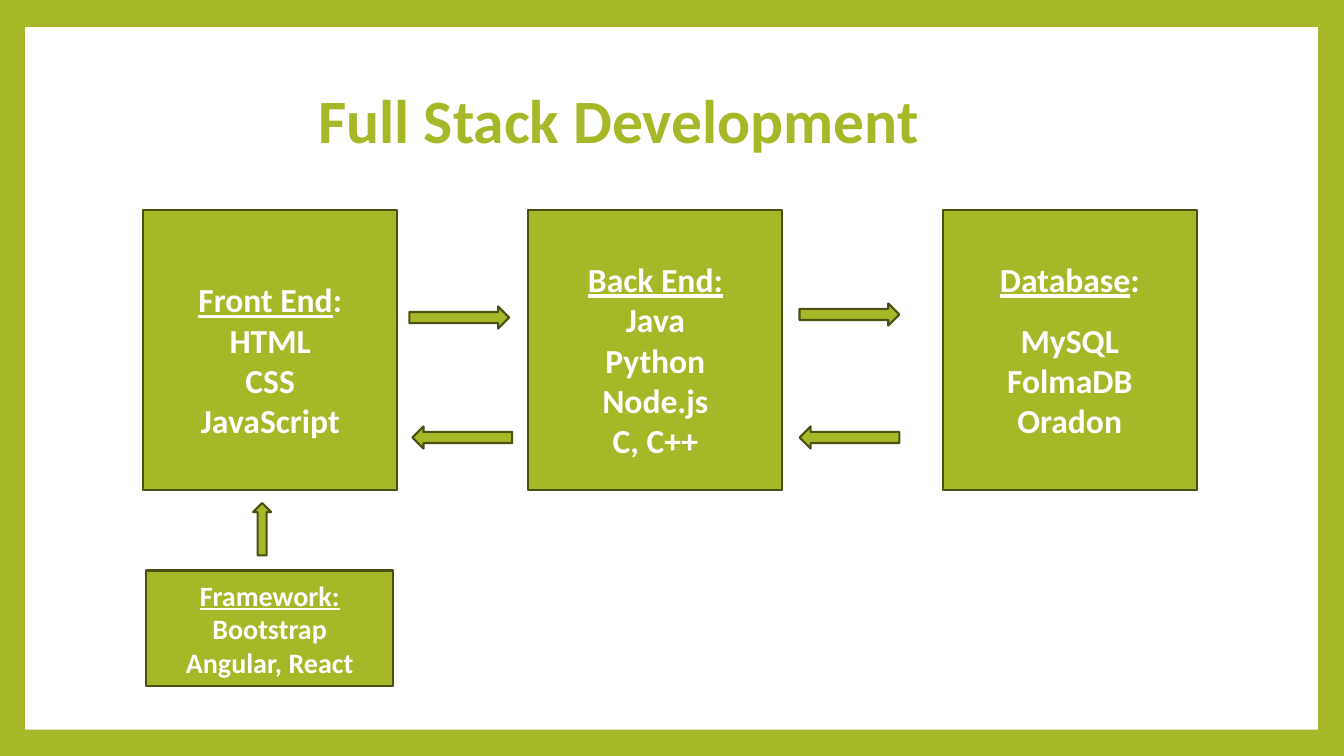
from pptx import Presentation
from pptx.dml.color import RGBColor
from pptx.enum.shapes import MSO_SHAPE as Shape
from pptx.enum.text import MSO_ANCHOR as Anchor, MSO_AUTO_SIZE as Fit, PP_ALIGN as Align
from pptx.util import Inches, Pt

LIME = RGBColor(0xA6, 0xB7, 0x27)
OLIVE = RGBColor(0x49, 0x50, 0x11)
WHITE = RGBColor(0xFF, 0xFF, 0xFF)


def write(par, text, size=24, color=WHITE, under=False, align=Align.CENTER, space=None):
    par.alignment = align
    if space:
        par.line_spacing = space
    run = par.add_run()
    run.text = text
    font = run.font
    font.name, font.size, font.bold = "Calibri", Pt(size), True
    font.underline = under
    font.color.rgb = color


class Board:
    def __init__(self, deck):
        self.slide = deck.slides.add_slide(deck.slide_layouts[5])
        self.fill, self.edge = LIME, OLIVE

    def frame(self, *area):
        """Color the background and lay a white panel behind everything else."""
        back = self.slide.background.fill
        back.solid()
        back.fore_color.rgb = self.fill
        panel = self.shape(Shape.RECTANGLE, *area)
        panel.fill.fore_color.rgb = WHITE
        panel.line.fill.background()
        tree = self.slide.shapes.element
        tree.remove(panel.element)
        tree.insert(2, panel.element)

    def title(self, text, *area):
        head = self.slide.shapes.title
        head.left, head.top, head.width, head.height = map(Inches, area)
        body = head.text_frame
        body.word_wrap, body.auto_size = True, Fit.NONE
        body.vertical_anchor = Anchor.MIDDLE
        write(body.paragraphs[0], text, size=44, color=self.fill, align=Align.LEFT, space=0.9)

    def shape(self, kind, *area):
        item = self.slide.shapes.add_shape(kind, *map(Inches, area))
        item.shadow.inherit = False
        item.fill.solid()
        item.fill.fore_color.rgb = self.fill
        item.line.color.rgb = self.edge
        item.line.width = Pt(1.5)
        return item

    def box(self, area, head, items, colon=False, size=24, wide=None):
        """Draw a headed box; wide is the index of the line with 1.5 spacing."""
        body = self.shape(Shape.RECTANGLE, *area).text_frame
        body.word_wrap = True
        body.vertical_anchor = Anchor.MIDDLE
        for i, text in enumerate([head, *items]):
            par = body.paragraphs[0] if i == 0 else body.add_paragraph()
            write(par, text, size=size, under=i == 0, space=1.5 if i == wide else None)
            if i == 0 and colon:
                write(par, ":", size=size)

    def arrow(self, left, top, turn=0):
        self.shape(Shape.RIGHT_ARROW, left, top, 0.99, 0.22).rotation = turn


def main():
    deck = Presentation()
    deck.slide_width, deck.slide_height = Inches(13.33), Inches(7.5)
    board = Board(deck)
    board.frame(0.25, 0.27, 12.82, 6.97)
    board.title("Full Stack Development", 3.06, 0.76, 7.56, 0.93)

    tiers = [
        (1.42, "Front End", ["HTML", "CSS", "JavaScript"], True, 0),
        (5.24, "Back End:", ["Java", "Python", "Node.js", "C, C++"], False, 0),
        (9.35, "Database", ["MySQL", "FolmaDB", "Oradon"], True, 1),
    ]
    for left, head, items, colon, wide in tiers:
        board.box((left, 2.08, 2.52, 2.78), head, items, colon=colon, wide=wide)
    board.box((1.45, 5.66, 2.45, 1.15), "Framework:", ["Bootstrap", "Angular, React"], size=20)

    for left, top, turn in [(4.06, 3.04, 0), (4.09, 4.23, 180), (7.93, 4.23, 180), (7.93, 3.01, 0)]:
        board.arrow(left, top, turn)
    board.shape(Shape.UP_ARROW, 2.51, 4.99, 0.18, 0.52)
    deck.save("out.pptx")


if __name__ == "__main__":
    main()
